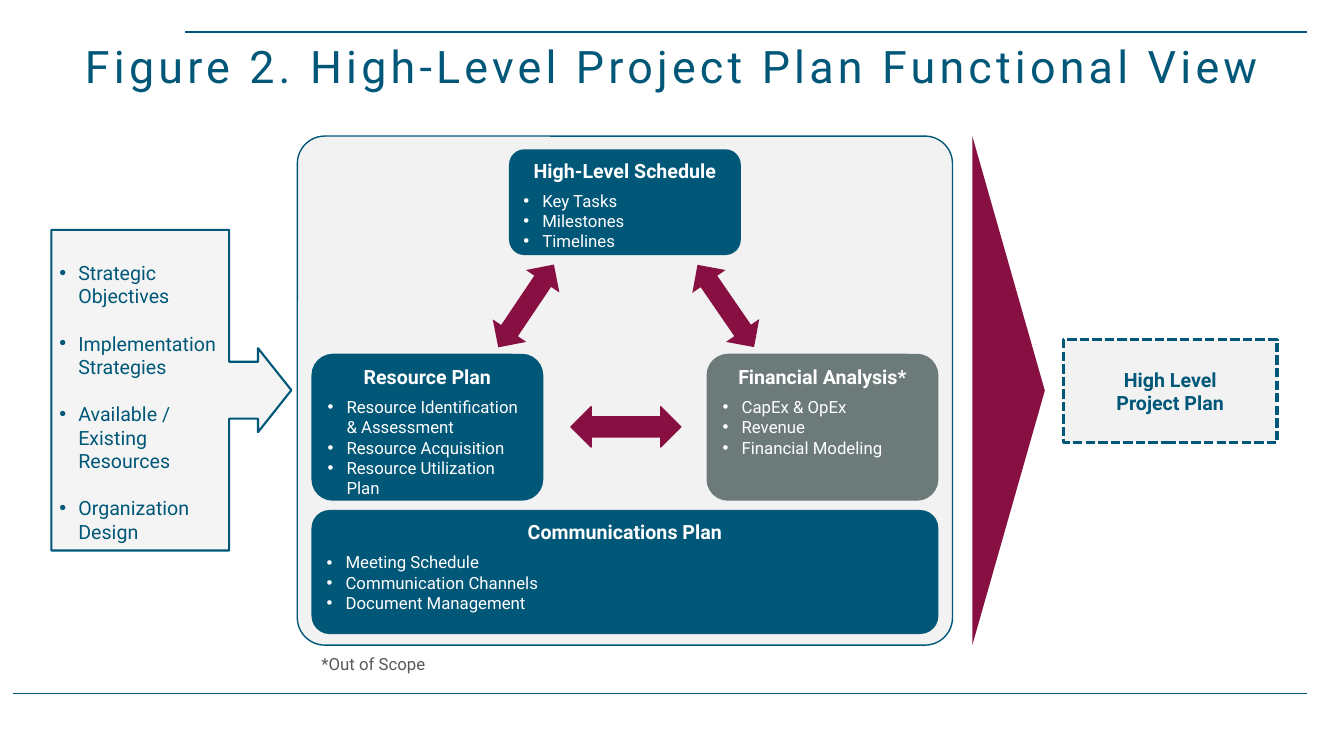
from dataclasses import dataclass

from lxml.etree import SubElement
from pptx import Presentation
from pptx.dml.color import RGBColor
from pptx.enum.dml import MSO_LINE
from pptx.enum.shapes import MSO_CONNECTOR, MSO_SHAPE
from pptx.enum.text import MSO_ANCHOR, PP_ALIGN
from pptx.oxml.ns import qn
from pptx.util import Pt


@dataclass(frozen=True)
class Theme:
    """Colours, font and type sizes of the slide."""
    teal: str = "005778"
    wine: str = "870F42"
    slate: str = "6C7A7A"
    pale: str = "F2F2F2"
    white: str = "FFFFFF"
    grey: str = "595959"
    font: str = "Roboto"
    title: int = 32
    head: int = 14
    body: int = 12


class Board:
    """Draws styled elements on one slide."""

    def __init__(self, slide, theme):
        """Keep the slide and its theme."""
        self.slide = slide
        self.theme = theme

    def rule(self, left, right, top):
        """Draw a thin level line."""
        line = self.slide.shapes.add_connector(
            MSO_CONNECTOR.STRAIGHT, Pt(left), Pt(top), Pt(right), Pt(top))
        line.line.color.rgb = RGBColor.from_string(self.theme.teal)
        line.line.width = Pt(1)
        SubElement(line._element.spPr, qn("a:effectLst"))

    def shape(self, kind, area, fill, edge=None, width=1, adjust=(), turn=0):
        """Draw a flat preset shape."""
        item = self.slide.shapes.add_shape(kind, *map(Pt, area))
        item.shadow.inherit = False
        item.rotation = turn
        item.fill.solid()
        item.fill.fore_color.rgb = RGBColor.from_string(fill)
        if edge:
            item.line.color.rgb = RGBColor.from_string(edge)
            item.line.width = Pt(width)
        else:
            item.line.fill.background()
        for place, value in enumerate(adjust):
            item.adjustments[place] = value
        return item

    def style(self, para, size, tint, bold=False, align=PP_ALIGN.LEFT):
        """Format one paragraph and its runs."""
        para.alignment = align
        for run in para.runs:
            run.font.name = self.theme.font
            run.font.size = Pt(size)
            run.font.bold = bold
            run.font.color.rgb = RGBColor.from_string(tint)

    def bullet(self, para):
        """Give a paragraph a hanging bullet."""
        props = para._p.get_or_add_pPr()
        props.set("marL", str(Pt(13.5)))
        props.set("indent", str(Pt(-13.5)))
        SubElement(props, qn("a:buFont"), typeface="Arial")
        SubElement(props, qn("a:buChar"), char="•")

    def label(self, area, text, size, tint, align=PP_ALIGN.LEFT):
        """Place a line of plain text."""
        box = self.slide.shapes.add_textbox(*map(Pt, area))
        box.text_frame.word_wrap = True
        box.text_frame.text = text
        self.style(box.text_frame.paragraphs[0], size, tint, align=align)
        return box.text_frame

    def title(self, area, text):
        """Place the widely spaced heading."""
        frame = self.label(area, text, self.theme.title, self.theme.teal, PP_ALIGN.CENTER)
        frame.vertical_anchor = MSO_ANCHOR.BOTTOM
        para = frame.paragraphs[0]
        para.line_spacing = 0.8
        para.runs[0].font._element.set("spc", "300")

    def card(self, area, fill, head, points):
        """Draw a rounded box with a head and bullets."""
        look = self.theme
        frame = self.shape(MSO_SHAPE.ROUNDED_RECTANGLE, area, fill, adjust=[0.146]).text_frame
        frame.vertical_anchor = MSO_ANCHOR.TOP
        frame.text = "\n".join([head, *points])
        first, *rest = frame.paragraphs
        self.style(first, look.head, look.white, True, PP_ALIGN.CENTER)
        first.space_after = Pt(6)
        for para in rest:
            self.style(para, look.body, look.white)
            self.bullet(para)

    def arrow(self, area, turn, edge=None):
        """Draw a turned two-headed arrow."""
        self.shape(MSO_SHAPE.UP_DOWN_ARROW, area, self.theme.wine, edge, turn=turn)

    def inputs(self, area, points):
        """Draw the arrow callout with spaced bullets."""
        look, gap = self.theme, 16.8
        item = self.shape(MSO_SHAPE.RIGHT_ARROW_CALLOUT, area, look.pale, look.teal, 1.5,
                          [0.237, 0.175, 0.139, 0.741])
        tint = item.fill._xPr.find(qn("a:solidFill"))[0]
        SubElement(tint, qn("a:alpha"), val="79000")
        frame = item.text_frame
        frame.margin_left = frame.margin_right = Pt(5.76)
        frame.margin_top, frame.margin_bottom = Pt(3.6 + gap), Pt(3.6)
        frame.text = "\n".join(points)
        for rank, para in enumerate(frame.paragraphs):
            self.style(para, look.head, look.teal)
            para.space_before = Pt(gap if rank else 0)
            self.bullet(para)

    def result(self, area, text):
        """Draw the dashed box with bold text."""
        look = self.theme
        item = self.shape(MSO_SHAPE.RECTANGLE, area, look.pale, look.teal, 2.25)
        item.line.dash_style = MSO_LINE.SQUARE_DOT
        item.text_frame.text = text
        for para in item.text_frame.paragraphs:
            self.style(para, look.head, look.teal, True, PP_ALIGN.CENTER)


def main():
    """Build the project plan slide."""
    deck = Presentation()
    deck.slide_width, deck.slide_height = Pt(960), Pt(540)
    look = Theme()
    board = Board(deck.slides.add_slide(deck.slide_layouts[6]), look)

    board.rule(132.5, 933.8, 23)
    board.rule(9.4, 933.8, 495.4)
    board.title((0, 26, 960, 43), "Figure 2. High-Level Project Plan Functional View")

    board.shape(MSO_SHAPE.ROUNDED_RECTANGLE, (212.4, 97.2, 468, 363.6),
                look.pale, look.teal, adjust=[0.054])
    mid, wide, span = 446.4, 165.6, 447.8
    left, right = mid - span / 2, mid + span / 2 - wide
    cards = [
        ((mid - wide / 2, 106.6, wide, 75.6), look.teal, "High-Level Schedule",
         ["Key Tasks", "Milestones", "Timelines"]),
        ((left, 252.7, wide, 105), look.teal, "Resource Plan",
         ["Resource Identification & Assessment", "Resource Acquisition",
          "Resource Utilization Plan"]),
        ((right, 252.7, wide, 105), look.slate, "Financial Analysis*",
         ["CapEx & OpEx", "Revenue", "Financial Modeling"]),
        ((left, 364.3, span, 88.6), look.teal, "Communications Plan",
         ["Meeting Schedule", "Communication Channels", "Document Management"]),
    ]
    for card in cards:
        board.card(*card)

    board.arrow((361.4, 182.9, 28.8, 71.3), 33.9)
    board.arrow((504, 182.9, 28.8, 71.3), 145.5)
    board.arrow((432.7, 265.7, 28.8, 78.5), 90, look.wine)

    board.result((759.6, 242.6, 152.6, 73.4), "High Level\nProject Plan")
    board.inputs((36.7, 164.2, 171.4, 229), [
        "Strategic Objectives", "Implementation Strategies",
        "Available / Existing Resources", "Organization Design"])
    board.shape(MSO_SHAPE.ISOSCELES_TRIANGLE, (538.6, 253.1, 363.6, 51.8), look.wine, turn=90)
    board.label((left, 463.7, wide, 21.6), "*Out of Scope", look.body, look.grey)

    deck.save("out.pptx")


if __name__ == "__main__":
    main()
